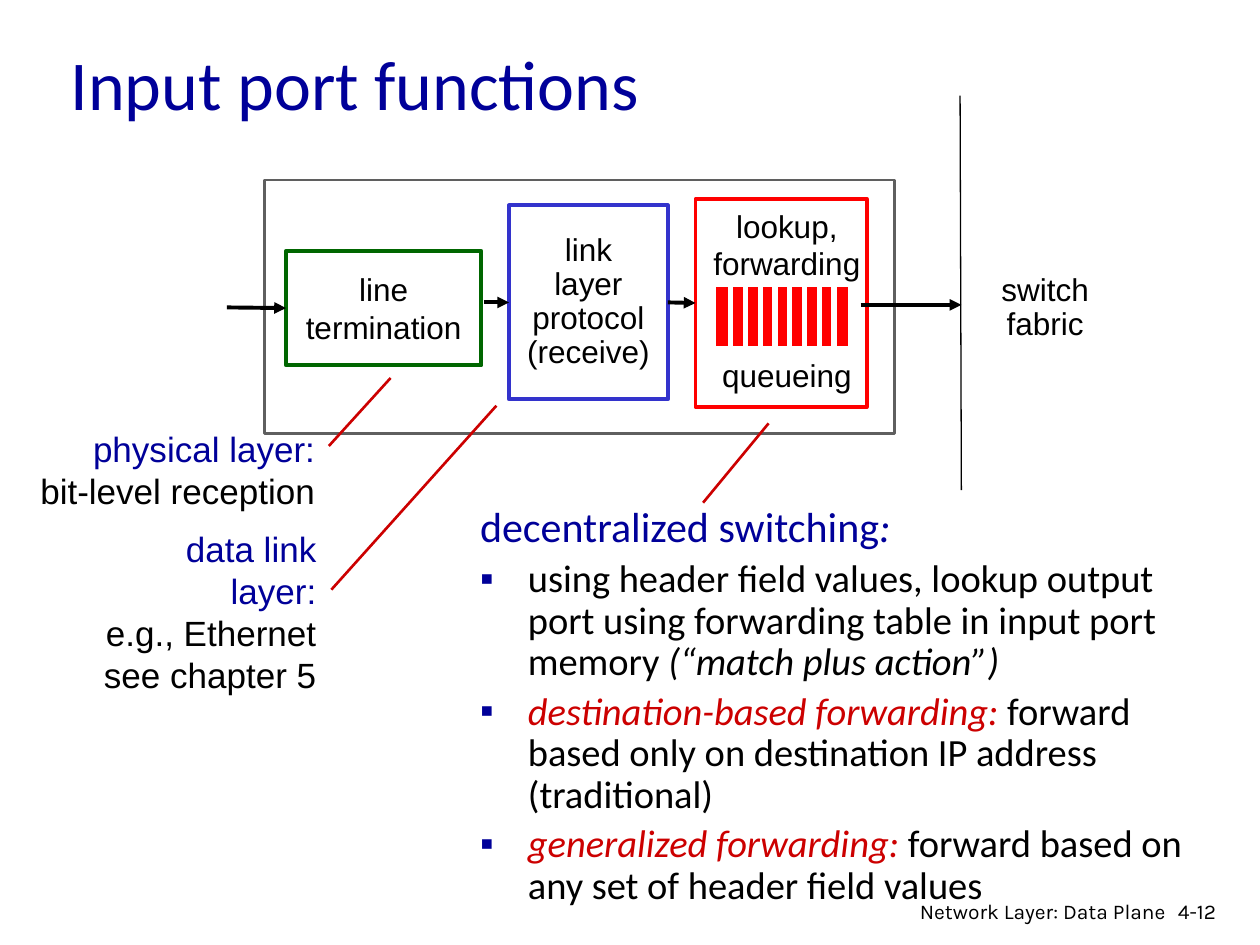
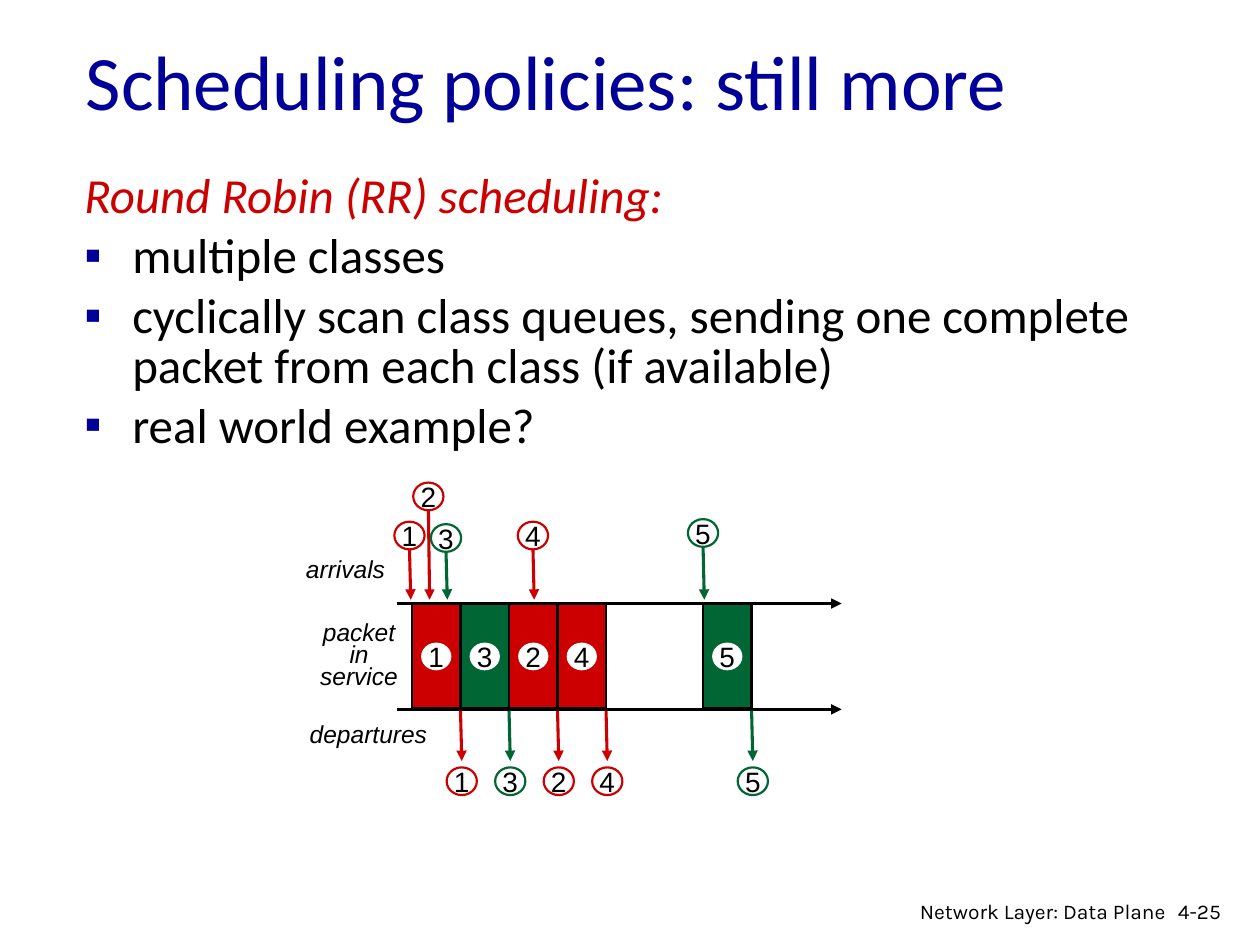
from lxml import etree
from pptx import Presentation
from pptx.dml.color import RGBColor
from pptx.enum.shapes import MSO_CONNECTOR as CONN, MSO_SHAPE as SHAPE
from pptx.enum.text import MSO_ANCHOR as ANCHOR, MSO_AUTO_SIZE as AUTO, PP_ALIGN as ALIGN
from pptx.oxml.ns import qn
from pptx.util import Inches, Pt

# Shared colours
NAVY = RGBColor(0x00, 0x00, 0x99)
RED = RGBColor(0xCC, 0x00, 0x00)
BRIGHT_RED = RGBColor(0xFF, 0x00, 0x00)
BLUE = RGBColor(0x33, 0x33, 0xCC)
GREEN = RGBColor(0x00, 0x66, 0x00)
DARK_GREEN = RGBColor(0x00, 0x66, 0x33)
GRAY = RGBColor(0x5F, 0x5F, 0x5F)
BLACK = RGBColor(0x00, 0x00, 0x00)
WHITE = RGBColor(0xFF, 0xFF, 0xFF)

# Shared text formats
BOX = dict(name="Arial", size=Pt(18), color=BLACK)
NOTE = dict(BOX, size=Pt(20))
PACKET = dict(BOX, size=Pt(16))
AXIS = dict(BOX, size=Pt(14), italic=True)
FOOTER = dict(BOX, name="Karla", size=Pt(12))
BODY = dict(name="Calibri", color=BLACK, italic=False)
TERM = dict(color=RED, italic=True)


def place(sp, at):
    for name, value in zip(("left", "top", "width", "height"), at):
        setattr(sp, name, Inches(value))


def add_run(p, text, fmt):
    r = p.add_run()
    r.text = text
    for name, value in fmt.items():
        if name == "color":
            r.font.color.rgb = value
        else:
            setattr(r.font, name, value)


def write(sp, lines, fmt, align=ALIGN.LEFT, anchor=ANCHOR.TOP, wrap=False, spacing=None):
    """Fill a shape; each line is a string or a (string, format changes) pair."""
    tf = sp.text_frame
    tf.word_wrap = wrap
    tf.vertical_anchor = anchor
    for i, line in enumerate(lines):
        p = tf.add_paragraph() if i else tf.paragraphs[0]
        p.alignment = align
        p.line_spacing = spacing
        text, changes = (line, {}) if isinstance(line, str) else line
        add_run(p, text, {**fmt, **changes})
    return tf


def add_label(shapes, at, lines, fmt, **layout):
    sp = shapes.add_textbox(*map(Inches, at))
    return write(sp, lines, fmt, **layout)


def add_figure(shapes, at, fill, line=None, width=1.25, kind=SHAPE.RECTANGLE):
    sp = shapes.add_shape(kind, *map(Inches, at))
    sp.shadow.inherit = False
    sp.fill.solid()
    sp.fill.fore_color.rgb = fill
    if line is None:
        sp.line.fill.background()
    else:
        sp.line.color.rgb = line
        sp.line.width = Pt(width)
    return sp


def add_line(shapes, start, end, color, width, arrow=False, begin=None, finish=None):
    """Draw a line; begin and finish are optional (shape, side) joints."""
    line = shapes.add_connector(CONN.STRAIGHT, *map(Inches, (*start, *end)))
    line.line.color.rgb = color
    line.line.width = Pt(width)
    if arrow:
        etree.SubElement(line.line._get_or_add_ln(), qn("a:tailEnd"), type="triangle")
    etree.SubElement(line._element.spPr, qn("a:effectLst"))
    if begin:
        line.begin_connect(*begin)
    if finish:
        line.end_connect(*finish)


def add_packet(shapes, number, center, top, line=None):
    sp = add_figure(shapes, (center - 0.12, top, 0.24, 0.22), WHITE, line, kind=SHAPE.OVAL)
    tf = write(sp, [str(number)], PACKET, ALIGN.CENTER, ANCHOR.MIDDLE)
    for side in ("left", "right", "top", "bottom"):
        setattr(tf, f"margin_{side}", 0)


def set_bullet(p, shown):
    pPr = p._p.get_or_add_pPr()
    pPr.set("marL", str(Inches(0.38)))
    pPr.set("indent", str(-Inches(0.38)))
    if not shown:
        etree.SubElement(pPr, qn("a:buNone"))
        return
    color = etree.SubElement(pPr, qn("a:buClr"))
    etree.SubElement(color, qn("a:srgbClr"), val=str(NAVY))
    etree.SubElement(pPr, qn("a:buFont"), typeface="Arial")
    etree.SubElement(pPr, qn("a:buChar"), char="▪")


def fill_body(slide, at, paragraphs, size, spacing):
    """Write an unbulleted heading followed by bulleted paragraphs."""
    sp = slide.placeholders[1]
    place(sp, at)
    tf = sp.text_frame
    tf.auto_size = AUTO.NONE
    for i, runs in enumerate(paragraphs):
        p = tf.add_paragraph() if i else tf.paragraphs[0]
        p.line_spacing = spacing
        set_bullet(p, shown=i > 0)
        for text, changes in runs:
            add_run(p, text, {**BODY, "size": Pt(size), **changes})


def new_slide(prs, title, at, size, page):
    slide = prs.slides.add_slide(prs.slide_layouts[1])
    sp = slide.shapes.title
    place(sp, at)
    sp.text_frame.auto_size = AUTO.NONE
    write(sp, [title], dict(name="Calibri", size=Pt(size), color=NAVY),
          anchor=ANCHOR.MIDDLE, wrap=True)
    add_label(slide.shapes, (9.25, 7.08, 0.61, 0.3), [page], FOOTER, wrap=True)
    add_label(slide.shapes, (6.97, 7.08, 2.38, 0.26), ["Network Layer: Data Plane"],
              FOOTER, align=ALIGN.RIGHT, wrap=True)
    return slide


def add_queue(shapes):
    queue = shapes.add_group_shape().shapes
    add_figure(queue, (5.66, 2.26, 1.09, 0.51), BRIGHT_RED, WHITE, 3)
    first, last, count = 5.8, 6.62, 8
    for i in range(count):
        x = first + i * (last - first) / (count - 1)
        add_line(queue, (x, 2.27), (x, 2.76), WHITE, 3)


def input_port_slide(prs):
    slide = new_slide(prs, "Input port functions", (0.46, 0.32, 8.5, 0.67), 40, "4-12")
    shapes = slide.shapes
    centered = dict(align=ALIGN.CENTER, anchor=ANCHOR.MIDDLE)

    # Stages inside the port
    add_figure(shapes, (2.1, 1.43, 5, 2.01), WHITE, GRAY, 1.5)
    termination = add_figure(shapes, (2.27, 1.99, 1.55, 0.91), WHITE, GREEN, 2.25)
    write(termination, ["line", "termination"], BOX, **centered)
    link = add_figure(shapes, (4.04, 1.63, 1.26, 1.54), WHITE, BLUE, 2.25)
    write(link, ["link", "layer", "protocol", "(receive)"], BOX, spacing=0.9, **centered)
    lookup = add_figure(shapes, (5.52, 1.58, 1.36, 1.65), WHITE, BRIGHT_RED, 2.25)
    tf = add_label(shapes, (5.56, 1.59, 1.37, 1.6), ["lookup,", "forwarding", "queueing"],
                   BOX, align=ALIGN.CENTER)
    tf.paragraphs[-1].space_before = Pt(42)
    add_queue(shapes)

    # Switch fabric
    add_line(shapes, (7.62, 0.76), (7.63, 3.89), BLACK, 0.75)
    add_label(shapes, (7.72, 1.99, 1.15, 0.91), ["switch", "fabric"], BOX,
              spacing=0.9, **centered)

    # Flow from left to right
    for start, end, begin, finish in (
        ((1.8, 2.44), (2.27, 2.44), None, (termination, 1)),
        ((3.84, 2.4), (4.04, 2.4), None, (link, 1)),
        ((5.3, 2.4), (5.52, 2.4), (link, 3), (lookup, 1)),
        ((6.83, 2.42), (7.63, 2.42), None, None),
    ):
        add_line(shapes, start, end, BLACK, 2.25, True, begin, finish)

    # Notes and their pointers
    heading = dict(color=NAVY)
    add_label(shapes, (0.22, 3.34, 2.38, 0.77),
              [("physical layer:", heading), "bit-level reception"], NOTE, align=ALIGN.RIGHT)
    add_label(shapes, (0.62, 4.14, 1.99, 1.1),
              [("data link layer:", heading), "e.g., Ethernet", "see chapter 5"],
              NOTE, align=ALIGN.RIGHT)
    for start, end in (((2.61, 3.54), (3.1, 3)), ((2.63, 4.68), (3.94, 3.22)),
                       ((5.58, 3.99), (6.1, 3.36))):
        add_line(shapes, start, end, RED, 1.5)

    title = dict(color=NAVY, size=Pt(24))
    fill_body(slide, (3.71, 3.97, 5.97, 2.92), [
        [("decentralized switching", title), (":", dict(title, italic=True))],
        [("using header field values, lookup output port using forwarding table "
          "in input port memory ", {}), ("(“match plus action”)", dict(italic=True))],
        [("destination-based forwarding: ", TERM),
         ("forward based only on destination IP address (traditional)", {})],
        [("generalized forwarding: ", TERM),
         ("forward based on any set of header field values", {})],
    ], 22, 0.9)


def add_timeline(shapes):
    first_left, slot = 3.27, (5.58 - 3.27) / 6
    top, bottom, height = 4.79, 5.63, 0.83
    for y in (top, bottom):
        add_line(shapes, (3.15, y), (6.68, y), BLACK, 2, True)

    # Service slots, each with its departure at the slot's end
    for number, index, color in ((1, 0, RED), (3, 1, DARK_GREEN), (2, 2, RED),
                                 (4, 3, RED), (5, 6, DARK_GREEN)):
        left = first_left + index * slot
        end = left + slot
        add_figure(shapes, (left, top, slot, height), color, BLACK)
        add_packet(shapes, number, left + slot / 2, 5.1)
        add_line(shapes, (end, 5.64), (end + 0.01, 6.04), color, 1.75, True)
        add_packet(shapes, number, end + 0.01, 6.09, color)

    # Arrivals
    for number, x, y, color in ((1, 3.25, 4.14, RED), (2, 3.4, 3.83, RED),
                                (3, 3.54, 4.16, DARK_GREEN), (4, 4.23, 4.14, RED),
                                (5, 5.58, 4.12, DARK_GREEN)):
        add_line(shapes, (x, y + 0.22), (x + 0.01, 4.76), color, 1.75, True)
        add_packet(shapes, number, x, y, color)

    # Row labels
    add_label(shapes, (2.33, 4.35, 0.88, 0.34), ["arrivals"], AXIS)
    add_label(shapes, (2.36, 5.66, 1.19, 0.34), ["departures"], AXIS)
    add_label(shapes, (2.38, 4.9, 0.94, 0.65), ["packet in service"], AXIS,
              align=ALIGN.CENTER, wrap=True, spacing=Pt(12.8))


def scheduling_slide(prs):
    slide = new_slide(prs, "Scheduling policies: still more", (0.58, 0.01, 8.5, 1.25),
                      44, "4-25")
    fill_body(slide, (0.57, 1.33, 8.5, 0.83), [
        [("Round Robin (RR) scheduling:", TERM)],
        [("multiple classes", {})],
        [("cyclically scan class queues, sending one complete packet from each class "
          "(if available)", {})],
        [("real world example?", {})],
    ], 28, 0.85)
    add_timeline(slide.shapes.add_group_shape().shapes)


def main():
    prs = Presentation()
    prs.slide_width, prs.slide_height = Inches(10), Inches(7.5)
    input_port_slide(prs)
    scheduling_slide(prs)
    prs.save("out.pptx")


if __name__ == "__main__":
    main()
